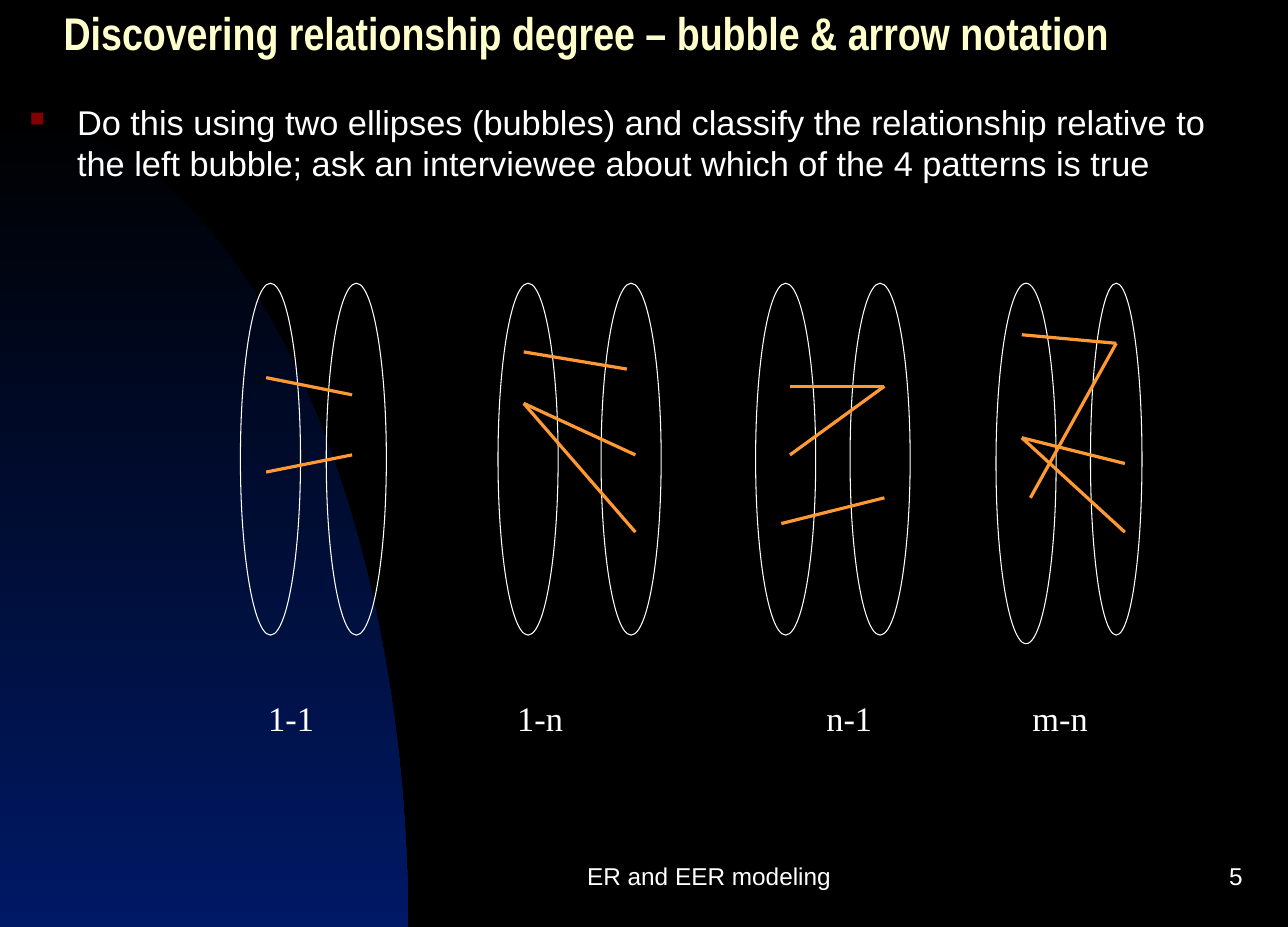
from dataclasses import dataclass
from math import cos, pi, sin

from lxml.etree import SubElement
from pptx import Presentation
from pptx.dml.color import RGBColor
from pptx.enum.shapes import MSO_CONNECTOR, MSO_SHAPE
from pptx.enum.text import MSO_ANCHOR, PP_ALIGN
from pptx.oxml.ns import qn
from pptx.util import Cm, Pt


@dataclass(frozen=True)
class TextStyle:
    font: str
    size: float
    color: str
    bold: bool = False


@dataclass(frozen=True)
class Theme:
    background: str = "000000"
    glow_top: str = "000000"
    glow_bottom: str = "001966"
    bubble: str = "FFFFFF"
    link: str = "FF9933"
    bullet: str = "800000"
    bubble_width: float = 0.75
    link_width: float = 2.25
    title: TextStyle = TextStyle("Arial Narrow", 32, "FFFFCC", True)
    body: TextStyle = TextStyle("Arial", 24, "FFFFFF")
    label: TextStyle = TextStyle("Times New Roman", 24, "FFFFFF")
    footer: TextStyle = TextStyle("Arial", 17, "FFFFFF")


@dataclass(frozen=True)
class Pattern:
    """Bubbles are (left, width, height) and links (x1, y1, x2, y2), in grid steps."""
    label: str
    label_left: int
    bubbles: tuple
    links: tuple


THEME = Theme()
SLIDE_WIDTH, SLIDE_HEIGHT = Cm(31.75), Cm(22.86)
GRID_STEP = 2.54 / 12
BUBBLE_TOP = 33
LABEL_TOP = 81

PATTERNS = (
    Pattern("1-1", 31, ((28, 7, 41), (38, 7, 41)),
            ((31, 44, 41, 46), (31, 55, 41, 53))),
    Pattern("1-n", 60, ((58, 7, 41), (70, 7, 41)),
            ((61, 41, 73, 43), (61, 47, 74, 53), (61, 47, 74, 62))),
    Pattern("n-1", 96, ((88, 7, 41), (99, 7, 41)),
            ((92, 45, 103, 45), (92, 53, 103, 45), (91, 61, 103, 58))),
    Pattern("m-n", 120, ((116, 7, 42), (127, 6, 41)),
            ((119, 39, 130, 40), (120, 58, 130, 40),
             (119, 51, 131, 54), (131, 62, 119, 51))),
)


def rgb(color):
    return RGBColor.from_string(color)


def on_grid(*steps):
    return [Cm(step * GRID_STEP) for step in steps]


def add_glow(slide):
    """Quarter ellipse rising from the lower left corner."""
    width, top, segments = Cm(10.06), Cm(2.82), 90
    height = SLIDE_HEIGHT - top
    angles = [pi / 2 * i / segments for i in range(1, segments + 1)]
    arc = [(round(width * sin(a)), round(SLIDE_HEIGHT - height * cos(a)))
           for a in angles]
    outline = slide.shapes.build_freeform(0, top)
    outline.add_line_segments(arc + [(0, SLIDE_HEIGHT)], close=True)
    glow = outline.convert_to_shape()
    glow.shadow.inherit = False
    glow.line.fill.background()
    glow.fill.gradient()
    glow.fill.gradient_angle = 270
    for stop, color in zip(glow.fill.gradient_stops,
                           (THEME.glow_top, THEME.glow_bottom)):
        stop.color.rgb = rgb(color)


def add_text(slide, text, style, box, insets=(0.3, 0.15),
             anchor=MSO_ANCHOR.MIDDLE, align=PP_ALIGN.LEFT):
    """Add one paragraph in a box (left, top, width, height) and return it."""
    frame = slide.shapes.add_textbox(*box).text_frame
    frame.word_wrap = True
    frame.vertical_anchor = anchor
    frame.margin_left = frame.margin_right = Cm(insets[0])
    frame.margin_top = frame.margin_bottom = Cm(insets[1])
    paragraph = frame.paragraphs[0]
    paragraph.alignment = align
    run = paragraph.add_run()
    run.text = text
    run.font.name = style.font
    run.font.size = Pt(style.size)
    run.font.bold = style.bold
    run.font.color.rgb = rgb(style.color)
    return paragraph


def add_bullet(paragraph):
    paragraph.space_before = Pt(6)
    properties = paragraph._p.get_or_add_pPr()
    properties.set("marL", str(Cm(1.17)))
    properties.set("indent", str(-Cm(1.17)))
    color = SubElement(properties, qn("a:buClr"))
    SubElement(color, qn("a:srgbClr"), val=THEME.bullet)
    SubElement(properties, qn("a:buSzPct"), val="60000")
    SubElement(properties, qn("a:buChar"), char="■")


def add_bubble(slide, left, width, height):
    bubble = slide.shapes.add_shape(
        MSO_SHAPE.OVAL, *on_grid(left, BUBBLE_TOP, width, height))
    bubble.shadow.inherit = False
    bubble.fill.background()
    bubble.line.color.rgb = rgb(THEME.bubble)
    bubble.line.width = Pt(THEME.bubble_width)


def add_link(slide, ends):
    link = slide.shapes.add_connector(MSO_CONNECTOR.STRAIGHT, *on_grid(*ends))
    link.line.color.rgb = rgb(THEME.link)
    link.line.width = Pt(THEME.link_width)
    SubElement(link._element.spPr, qn("a:effectLst"))


def add_pattern(slide, pattern):
    for bubble in pattern.bubbles:
        add_bubble(slide, *bubble)
    for ends in pattern.links:
        add_link(slide, ends)
    add_text(slide, pattern.label, THEME.label,
             on_grid(pattern.label_left, LABEL_TOP, 10, 5),
             insets=(0.05, 0.05), anchor=MSO_ANCHOR.TOP)


def main():
    presentation = Presentation()
    presentation.slide_width, presentation.slide_height = SLIDE_WIDTH, SLIDE_HEIGHT
    slide = presentation.slides.add_slide(presentation.slide_layouts[6])
    slide.background.fill.solid()
    slide.background.fill.fore_color.rgb = rgb(THEME.background)

    add_glow(slide)
    title = add_text(
        slide, "Discovering relationship degree – bubble & arrow notation",
        THEME.title, (Cm(1.27), Cm(0), Cm(29.41), Cm(1.9)))
    title.line_spacing = 0.7
    instruction = add_text(
        slide,
        "Do this using two ellipses (bubbles) and classify the relationship "
        "relative to the left bubble; ask an interviewee about which of the "
        "4 patterns is true",
        THEME.body, (Cm(0.43), Cm(2.34), Cm(30.53), Cm(18.62)),
        anchor=MSO_ANCHOR.TOP)
    add_bullet(instruction)

    for pattern in PATTERNS:
        add_pattern(slide, pattern)

    footer_top, footer_height = Cm(20.83), Cm(1.52)
    add_text(slide, "ER and EER modeling", THEME.footer,
             (Cm(12.45), footer_top, Cm(10.06), footer_height),
             align=PP_ALIGN.CENTER)
    add_text(slide, "5", THEME.footer,
             (Cm(24.33), footer_top, Cm(6.6), footer_height),
             align=PP_ALIGN.RIGHT)
    presentation.save("out.pptx")


if __name__ == "__main__":
    main()
